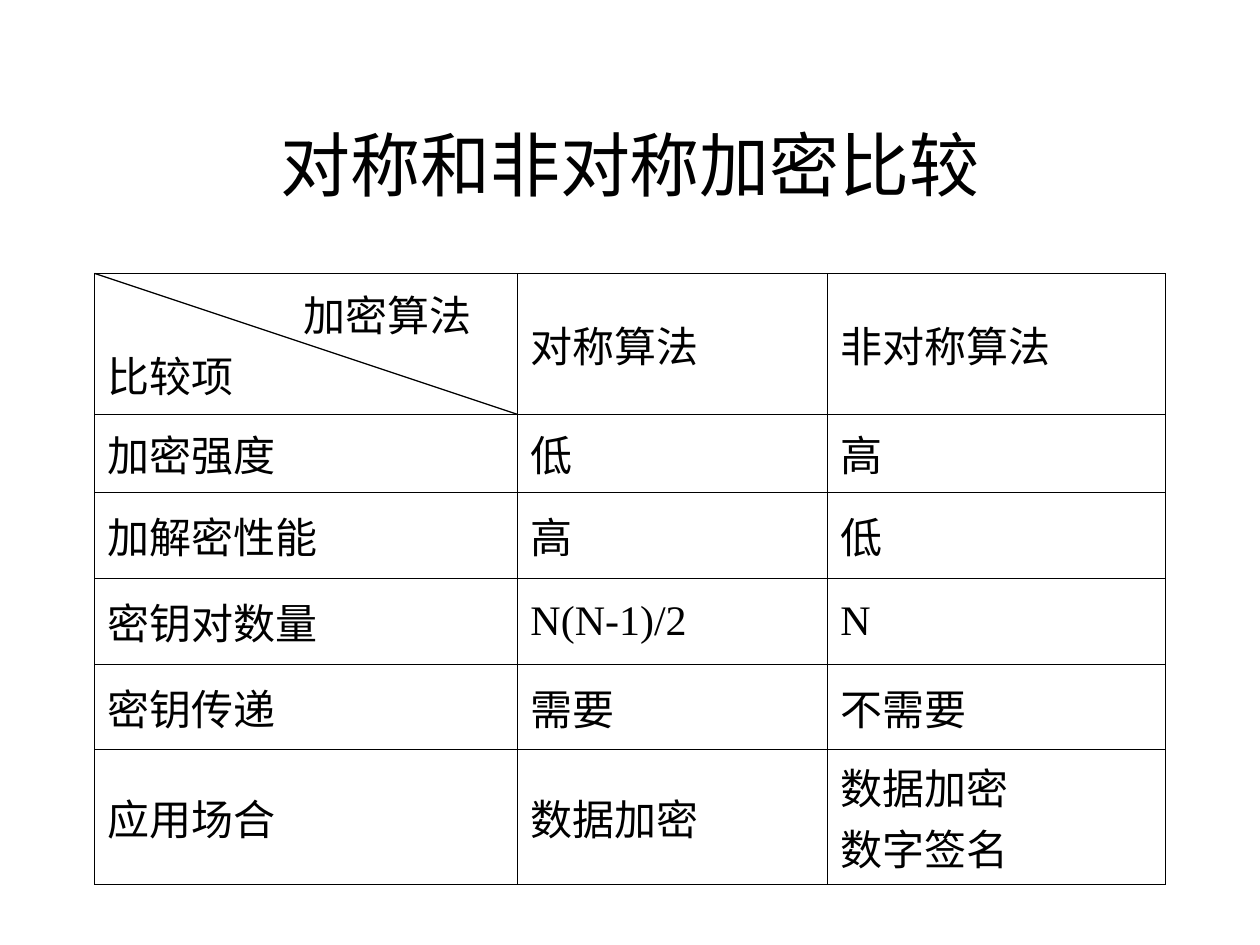
from lxml.etree import SubElement
from pptx import Presentation
from pptx.dml.color import RGBColor
from pptx.enum.shapes import MSO_CONNECTOR
from pptx.enum.text import MSO_ANCHOR, PP_ALIGN
from pptx.oxml.ns import qn
from pptx.util import Inches, Pt

COLORS = {"ink": "000000", "paper": "FFFFFF"}
FONT = "Times New Roman"
WIDTH, HEIGHT = Inches(10), Inches(7.5)
COLUMNS = (3.36, 2.46, 2.68)
ROWS = (1.12, 0.62, 0.68, 0.68, 0.68, 1.07)
TITLE_BOX = (0.075, 0.67 / 7.5, 0.85, 1.25 / 7.5)
TABLE_BOX = (0.075, 2.17 / 7.5, 0.85, sum(ROWS) / 7.5)
HEADING_INDENT = Inches(1.56)
CONTENT = (
    ("加密算法\n比较项", "对称算法", "非对称算法"),
    ("加密强度", "低", "高"),
    ("加解密性能", "高", "低"),
    ("密钥对数量", "N(N-1)/2", "N"),
    ("密钥传递", "需要", "不需要"),
    ("应用场合", "数据加密", "数据加密\n数字签名"),
)


def color(name):
    return RGBColor.from_string(COLORS[name])


def place(shares):
    left, top, width, height = shares
    return (round(left * WIDTH), round(top * HEIGHT),
            round(width * WIDTH), round(height * HEIGHT))


def write(frame, text, size):
    frame.text = text
    for para in frame.paragraphs:
        para.font.name = FONT
        para.font.size = Pt(size)
        para.font.color.rgb = color("ink")


def add_title(page, box, text):
    frame = page.shapes.add_textbox(*box).text_frame
    frame.word_wrap = True
    frame.vertical_anchor = MSO_ANCHOR.MIDDLE
    write(frame, text, 40)
    frame.paragraphs[0].alignment = PP_ALIGN.CENTER


def draw_borders(cell):
    properties = cell._tc.get_or_add_tcPr()
    for position, side in enumerate(("lnL", "lnR", "lnT", "lnB")):
        line = SubElement(properties, qn(f"a:{side}"), w=str(Pt(0.45)))
        fill = SubElement(line, qn("a:solidFill"))
        SubElement(fill, qn("a:srgbClr"), val=COLORS["ink"])
        properties.insert(position, line)


def add_diagonal(page, left, top, width, height):
    line = page.shapes.add_connector(
        MSO_CONNECTOR.STRAIGHT, left, top, left + width, top + height)
    line.line.color.rgb = color("ink")
    line.line.width = Pt(0.75)
    SubElement(line._element.spPr, qn("a:effectLst"))


def add_comparison(page, box):
    left, top, width, height = box
    table = page.shapes.add_table(len(ROWS), len(COLUMNS), *box).table
    table.first_row = table.horz_banding = False
    for column, share in zip(table.columns, COLUMNS):
        column.width = round(width * share / sum(COLUMNS))
    for row, share, texts in zip(table.rows, ROWS, CONTENT):
        row.height = round(height * share / sum(ROWS))
        for cell, text in zip(row.cells, texts):
            cell.fill.solid()
            cell.fill.fore_color.rgb = color("paper")
            cell.vertical_anchor = MSO_ANCHOR.MIDDLE
            write(cell.text_frame, text, 24)
            draw_borders(cell)
    heading = table.cell(0, 0).text_frame.paragraphs[0]
    heading._p.get_or_add_pPr().set("marL", str(HEADING_INDENT))
    add_diagonal(page, left, top, table.columns[0].width, table.rows[0].height)


def main():
    deck = Presentation()
    deck.slide_width, deck.slide_height = WIDTH, HEIGHT
    page = deck.slides.add_slide(deck.slide_layouts[6])
    add_title(page, place(TITLE_BOX), "对称和非对称加密比较")
    add_comparison(page, place(TABLE_BOX))
    deck.save("out.pptx")


if __name__ == "__main__":
    main()
